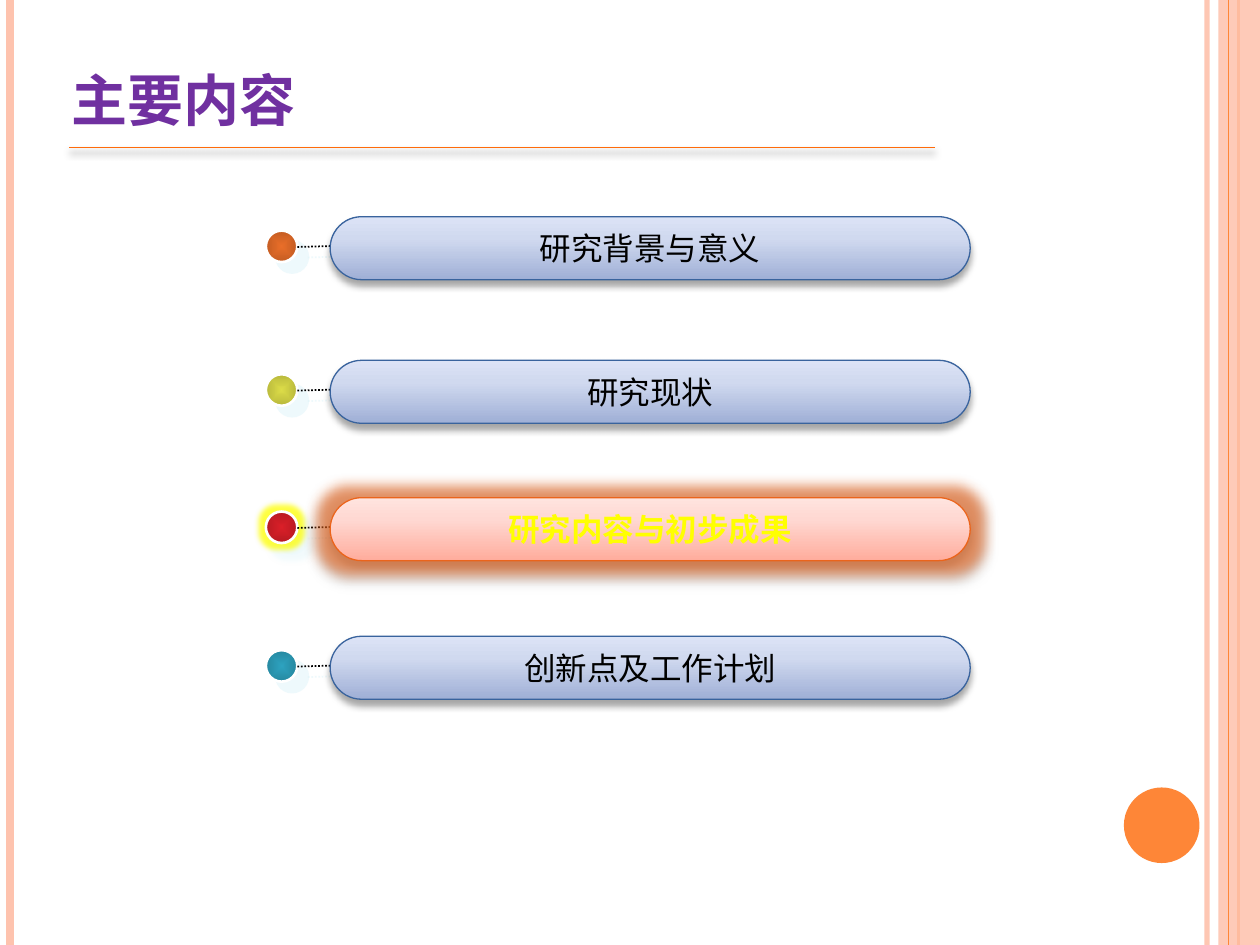
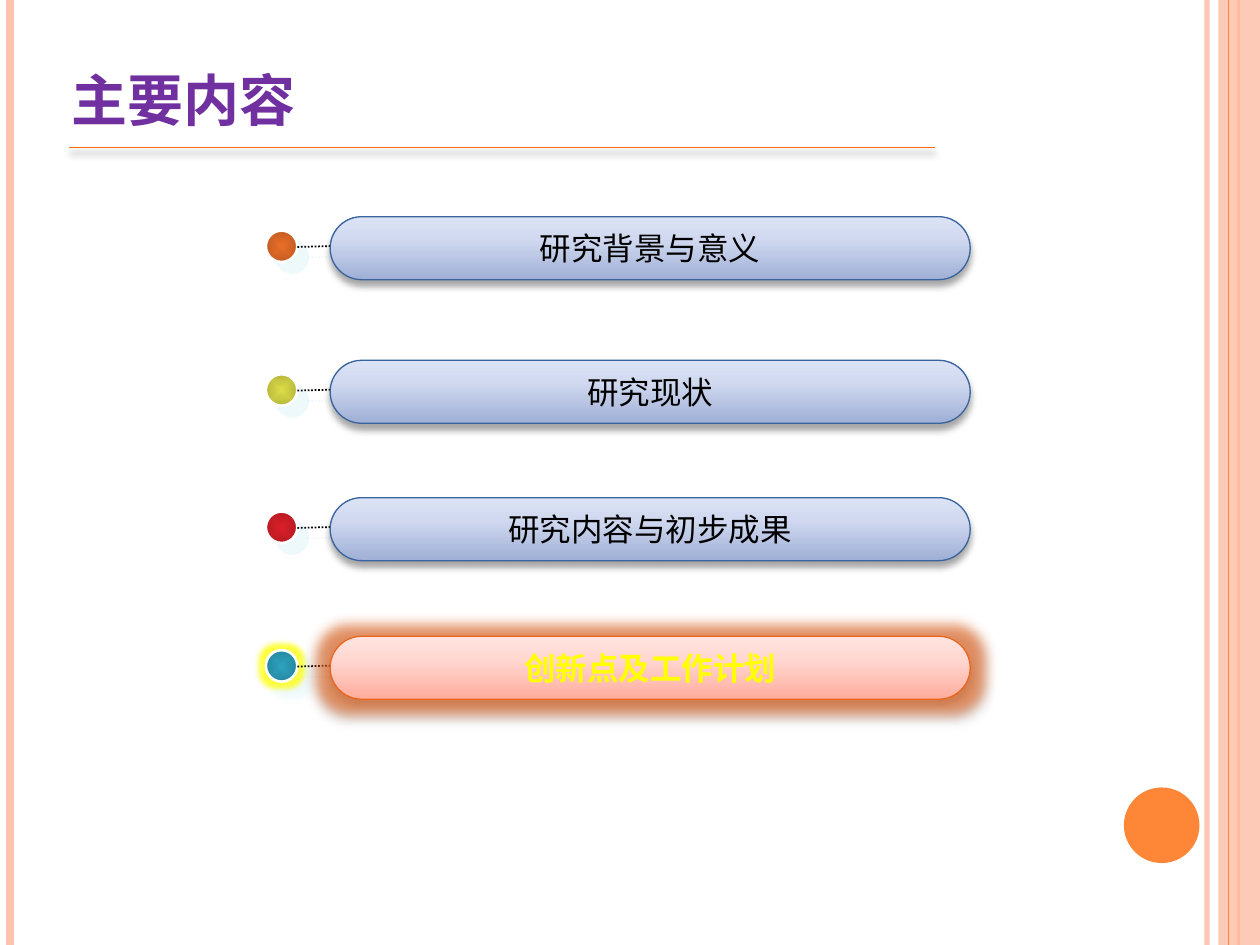
from lxml.etree import SubElement as Sub
from pptx import Presentation
from pptx.dml.color import RGBColor
from pptx.enum.dml import MSO_LINE as Dash
from pptx.enum.shapes import MSO_CONNECTOR as Conn, MSO_SHAPE as Kind
from pptx.enum.text import MSO_ANCHOR as Anchor, MSO_AUTO_SIZE as Auto, PP_ALIGN as Align
from pptx.oxml.ns import qn
from pptx.util import Inches, Pt

TITLE = "主要内容"
TOPICS = [
    ("研究背景与意义", 1.72, ("E96E29", "C35C22")),
    ("研究现状", 2.86, ("DCDC48", "B8B83C")),
    ("研究内容与初步成果", 3.95, ("DA1F28", "B71A22")),
    ("创新点及工作计划", 5.05, ("2DA2BF", "2688A0")),
]
ACTIVE = [2, 3]

PEACH, ORANGE = "FEC3AE", "FE8637"
RAILS = [(9.58, PEACH, 3, 93), (0.08, PEACH, 4.5, 100), (9.83, ORANGE, 1.5, 100)]
EDGE = (9.75, ORANGE, 0.75, 100)
PLAIN = {"stops": [(0, "9FAFD6"), (65, "D0D9EF"), (100, "DCE3F6")], "edge": "39639D",
         "ink": "000000", "bold": False}
LIT = {"stops": [(0, "FFAC9C"), (65, "FFD8D2"), (100, "FFE4DF")], "edge": "EB641B",
       "ink": "FFFF00", "bold": True}
RULE_SHADE = ("000000", 40, 4, 3, 90)
BAR_SHADE = ("000000", 35, 4, 3, 90)
DOT_SHADE = ("DEF5FA", 50, 0, 8.5, 45)
BAR_GLOW = ("EB641B", 60, 14)
DOT_GLOW = ("FFFF00", 75, 6)
DOT_X, DOT, BAR_X, BAR_W, BAR_H = 2.11, 0.25, 2.62, 5.08, 0.5


def rgb(code):
    return RGBColor.from_string(code)


def tint(node, code, alpha=100):
    clr = Sub(node, qn("a:srgbClr"), val=code)
    if alpha < 100:
        Sub(clr, qn("a:alpha"), val=str(alpha * 1000))


def fade(node, alpha):
    if alpha < 100:
        clr = next(node.iter(qn("a:srgbClr")))
        Sub(clr, qn("a:alpha"), val=str(alpha * 1000))


def effect(item, shade=None, glow=None):
    box = Sub(item.element.spPr, qn("a:effectLst"))
    if glow:
        code, alpha, size = glow
        tint(Sub(box, qn("a:glow"), rad=str(Pt(size))), code, alpha)
    if shade:
        code, alpha, blur, dist, turn = shade
        tint(Sub(box, qn("a:outerShdw"), blurRad=str(Pt(blur)), dist=str(Pt(dist)),
                 dir=str(turn * 60000), algn="ctr", rotWithShape="0"), code, alpha)


def blend(item, stops, round_=False):
    props = item.element.spPr
    grad = Sub(props, qn("a:gradFill"), rotWithShape="1")
    props.insert(2, grad)
    row = Sub(grad, qn("a:gsLst"))
    for pos, code in stops:
        tint(Sub(row, qn("a:gs"), pos=str(pos * 1000)), code)
    if round_:
        way = Sub(grad, qn("a:path"), path="shape")
        Sub(way, qn("a:fillToRect"), l="50000", t="50000", r="50000", b="50000")
    else:
        Sub(grad, qn("a:lin"), ang="16200000", scaled="0")


def wire(shapes, start, end, code, width, alpha=100, dash=None, shade=None):
    item = shapes.add_connector(Conn.STRAIGHT, *map(Inches, start + end))
    item.line.color.rgb = rgb(code)
    item.line.width = Pt(width)
    if dash:
        item.line.dash_style = dash
    fade(item.element.spPr, alpha)
    effect(item, shade)
    return item


def form(shapes, kind, box, fill=None, alpha=100, stops=None, round_=False,
         edge=None, width=1, shade=None, glow=None):
    item = shapes.add_shape(kind, *map(Inches, box))
    if stops:
        blend(item, stops, round_)
    else:
        item.fill.solid()
        item.fill.fore_color.rgb = rgb(fill)
        fade(item.element.spPr, alpha)
    if edge:
        item.line.color.rgb = rgb(edge)
        item.line.width = Pt(width)
    else:
        item.line.fill.background()
    effect(item, shade, glow)
    return item


def write(item, text, size, font, ink, bold=False, align=Align.LEFT,
          anchor=Anchor.TOP, wrap=True):
    frame = item.text_frame
    frame.word_wrap = wrap
    frame.auto_size = Auto.NONE
    frame.vertical_anchor = anchor
    para = frame.paragraphs[0]
    para.alignment = align
    run = para.add_run()
    run.text = text
    run.font.size = Pt(size)
    run.font.name = font
    run.font.bold = bold
    run.font.color.rgb = rgb(ink)


def rail(shapes, x, code, width, alpha):
    return wire(shapes, (x, 0), (x, 7.5), code, width, alpha)


def frame_up(deck, slide):
    shapes = slide.shapes
    parts = [rail(shapes, *spec) for spec in RAILS]
    parts.append(form(shapes, Kind.RECTANGLE, (9.67, 0, 0.33, 7.5), PEACH, 87))
    parts.append(rail(shapes, *EDGE))
    parts.append(form(shapes, Kind.OVAL, (8.92, 6.25, 0.6, 0.6), ORANGE))
    tree = deck.slide_master.shapes.element
    for num, part in enumerate(parts):
        next(part.element.iter(qn("p:cNvPr"))).set("id", str(100 + num))
        tree.insert(2 + num, part.element)


def topic(slide, text, top, tones, lit):
    look = LIT if lit else PLAIN
    shapes = slide.shapes.add_group_shape().shapes
    form(shapes, Kind.OVAL, (DOT_X, top + 0.11, DOT, DOT),
         stops=list(zip((0, 100), tones)), round_=True, edge="FFFFFF", width=1.5,
         shade=DOT_SHADE, glow=DOT_GLOW if lit else None)
    wire(shapes, (DOT_X + DOT, top + 0.24), (2.74, top + 0.23), "000000", 1,
         dash=Dash.ROUND_DOT, shade=DOT_SHADE)
    bar = form(shapes, Kind.ROUNDED_RECTANGLE, (BAR_X, top, BAR_W, BAR_H),
               stops=look["stops"], edge=look["edge"], width=0.75,
               shade=BAR_SHADE, glow=BAR_GLOW if lit else None)
    bar.adjustments[0] = 0.5
    write(bar, text, 18, "DejaVu Sans Mono", look["ink"], look["bold"],
          Align.CENTER, Anchor.MIDDLE, wrap=False)


def agenda(slide, active):
    title = slide.shapes.title
    title.left, title.top, title.width, title.height = map(Inches, (0.47, 0.47, 2.19, 0.78))
    write(title, TITLE, 32, "Times New Roman", "7030A0", True)
    wire(slide.shapes, (0.55, 1.17), (7.42, 1.17), "FF6B0A", 1, shade=RULE_SHADE)
    for num, (text, top, tones) in enumerate(TOPICS):
        topic(slide, text, top, tones, num == active)


def main():
    deck = Presentation()
    deck.slide_width, deck.slide_height = Inches(10), Inches(7.5)
    slides = [deck.slides.add_slide(deck.slide_layouts[5]) for _ in ACTIVE]
    frame_up(deck, slides[0])
    for slide, active in zip(slides, ACTIVE):
        agenda(slide, active)
    deck.save("out.pptx")


if __name__ == "__main__":
    main()
